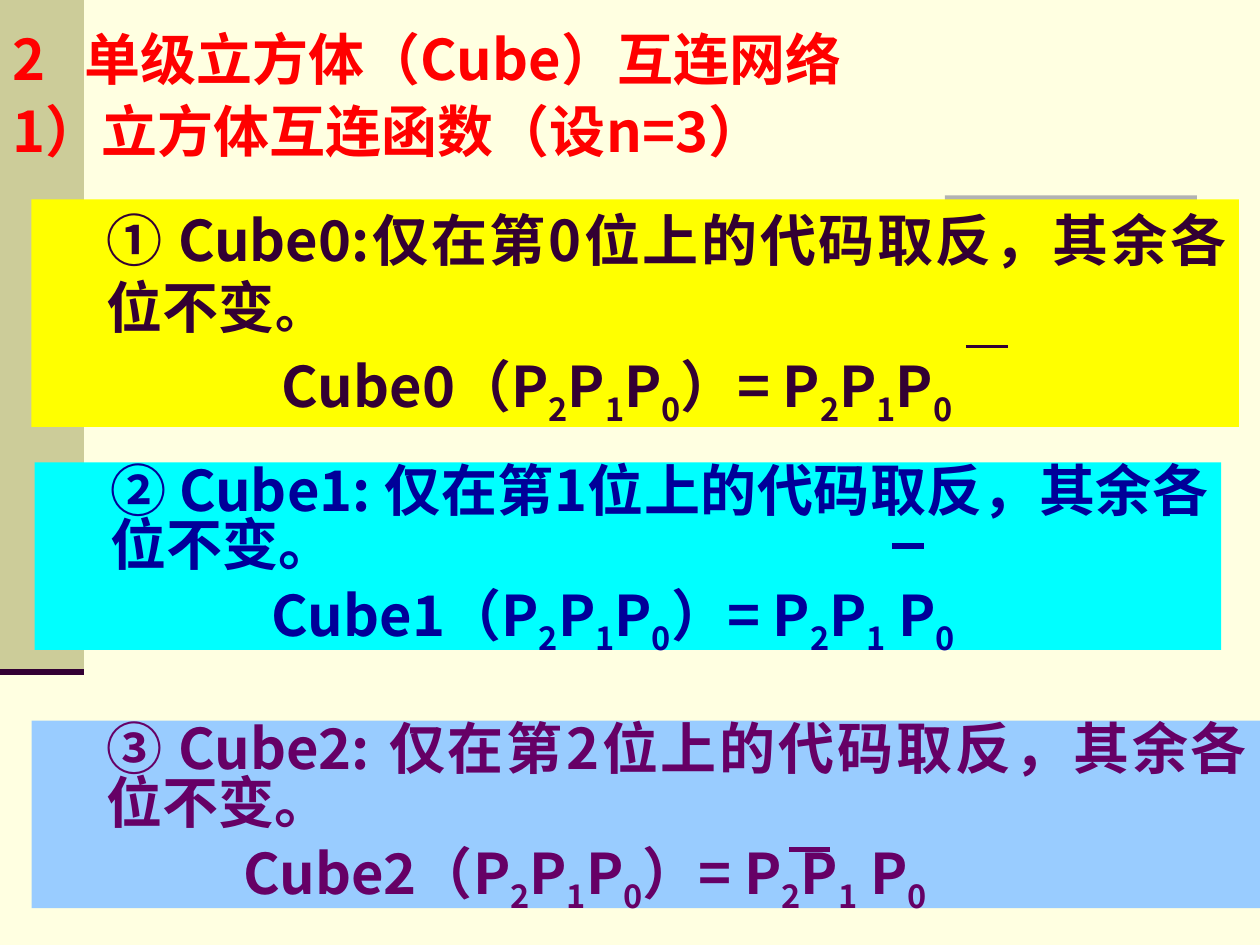
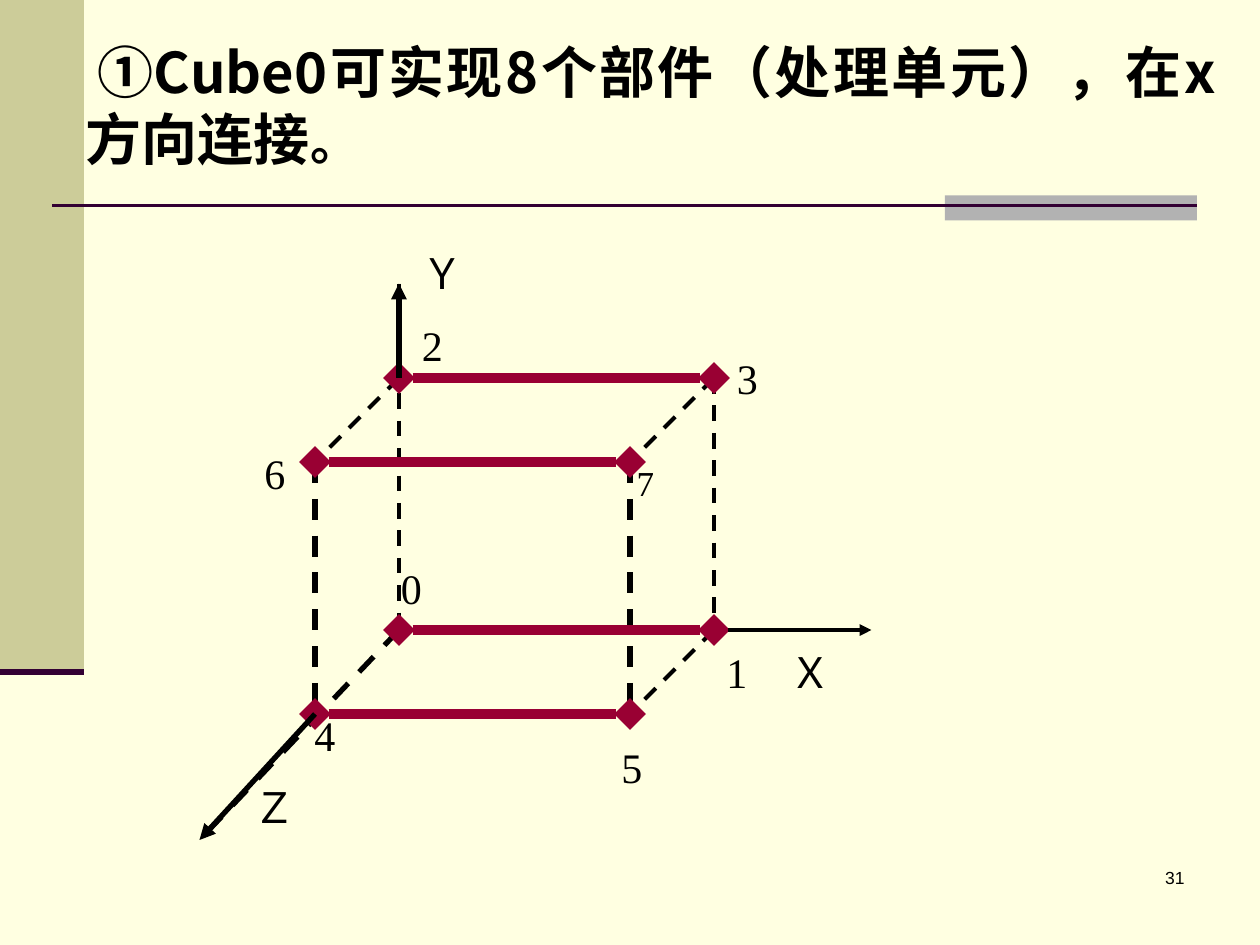
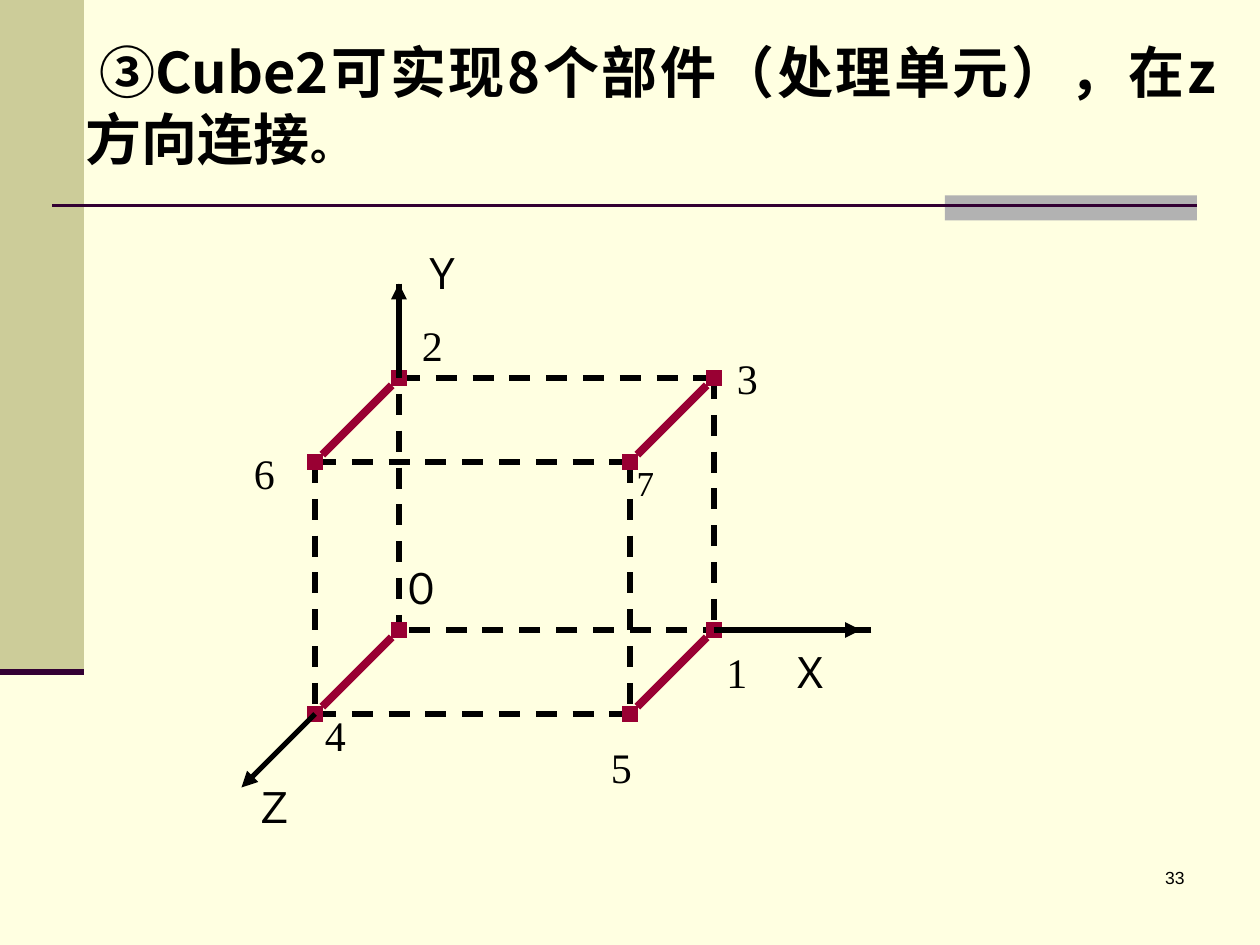
from lxml import etree
from pptx import Presentation
from pptx.dml.color import RGBColor
from pptx.enum import dml, shapes, text
from pptx.oxml import ns
from pptx.util import Pt

CREAM = RGBColor(0xFF, 0xFF, 0xE1)
KHAKI = RGBColor(0xCC, 0xCC, 0x99)
GRAY = RGBColor(0xB2, 0xB2, 0xB2)
PLUM = RGBColor(0x33, 0x00, 0x33)
RED = RGBColor(0xFF, 0x00, 0x00)
BLACK = RGBColor(0x00, 0x00, 0x00)
RUBY = RGBColor(0x99, 0x00, 0x33)
YELLOW = RGBColor(0xFF, 0xFF, 0x00)
CYAN = RGBColor(0x00, 0xFF, 0xFF)
NAVY = RGBColor(0x00, 0x00, 0x99)
SKY = RGBColor(0x99, 0xCC, 0xFF)
PURPLE = RGBColor(0x66, 0x00, 0x66)

SANS, SERIF, ARIAL = "Noto Sans CJK SC", "Times New Roman", "Arial"
HEAD = {"name": SANS, "size": Pt(32), "bold": True}
LABEL = {"name": SERIF, "size": Pt(24)}
JUST = {"alignment": text.PP_ALIGN.JUSTIFY}
SLIM = {(0, 2), (1, 3), (2, 6), (3, 7), (1, 5)}
TIPS = {1: (498, 360), 2: (228, 162), 4: (114, 480)}


def apply(item, vals):
    for key, val in vals.items():
        setattr(item, key, val)


def node(bits):
    x, y, z = bits & 1, bits >> 1 & 1, bits >> 2
    return 228 + 180 * x - 48 * z, 360 - 144 * y + 48 * z


class Deck:
    def __init__(self):
        self.prs = Presentation()
        apply(self.prs, {"slide_width": Pt(720), "slide_height": Pt(540)})
        fill = self.prs.slide_master.background.fill
        fill.solid()
        fill.fore_color.rgb = CREAM

    def page(self, rule=True):
        self.slide = self.prs.slides.add_slide(self.prs.slide_layouts[6])
        self.rect((0, 0, 48, 384), KHAKI)
        self.rect((540, 111.6, 144, 14.4), GRAY)
        if rule:
            self.line((30, 117.6), (684, 117.6), PLUM, 1.5)
        self.line((0, 384), (48, 384), PLUM, 3.5)

    def rect(self, box, color):
        shape = self.slide.shapes.add_shape(shapes.MSO_SHAPE.RECTANGLE, *map(Pt, box))
        shape.shadow.inherit = False
        shape.fill.solid()
        shape.fill.fore_color.rgb = color
        shape.line.fill.background()
        return shape

    def line(self, start, end, color, width, dash=False, head=None, tail=None):
        link = self.slide.shapes.add_connector(
            shapes.MSO_CONNECTOR.STRAIGHT, *map(Pt, start + end))
        link.line.width = Pt(width)
        link.line.color.rgb = color
        if dash:
            link.line.dash_style = dml.MSO_LINE.DASH
        for tag, kind in (("a:headEnd", head), ("a:tailEnd", tail)):
            if kind:
                etree.SubElement(link.line._get_or_add_ln(), ns.qn(tag)).set("type", kind)
        etree.SubElement(link._element.spPr, ns.qn("a:effectLst"))

    def box(self, box):
        return self.slide.shapes.add_textbox(*map(Pt, box))

    def words(self, shape, paras, font, color, form):
        frame = shape.text_frame
        apply(frame, {"word_wrap": True, "vertical_anchor": text.MSO_ANCHOR.TOP})
        for num, (runs, left, first) in enumerate(paras):
            para = frame.add_paragraph() if num else frame.paragraphs[0]
            apply(para, form)
            props = para._p.get_or_add_pPr()
            props.set("marL", str(Pt(left)))
            props.set("indent", str(Pt(first)))
            for words, size in runs:
                base, *subs = words.split("_")
                self.run(para, base, font, color, size)
                for sub in subs:
                    self.run(para, sub[0], font, color, size, True)
                    self.run(para, sub[1:], font, color, size)

    def run(self, para, words, font, color, size, low=False):
        if not words:
            return
        run = para.add_run()
        run.text = words
        apply(run.font, font)
        run.font.color.rgb = color
        if size:
            run.font.size = Pt(size)
        props = run._r.get_or_add_rPr()
        etree.SubElement(props, ns.qn("a:ea")).set("typeface", SANS)
        if low:
            props.set("baseline", "-25000")

    def title(self, runs, number):
        self.words(self.box((42, 18, 660, 84)), [(runs, 0, 0)], HEAD, BLACK, JUST)
        self.words(self.box((534, 492, 150, 36)), [([(number, 10)], 0, 0)],
                   {"name": ARIAL}, BLACK, {"alignment": text.PP_ALIGN.RIGHT})

    def label(self, box, *rows, size=24):
        paras = [([(words, size)], left, 0) for words, left in rows]
        self.words(self.box(box), paras, LABEL, BLACK, {"space_before": Pt(12)})

    def rule(self, box, fill, color, spread, words, formula, left):
        paras = [(words, 36, 0), ([(formula, 32)], left, 0)]
        form = {**JUST, "space_before": Pt(6.4), "line_spacing": spread}
        self.words(self.rect(box, fill), paras, HEAD, color, form)

    def cube(self, axis, width, slim, tips, arrows):
        edges = [(v, v + bit) for bit in (1, 2, 4) for v in range(8) if not v & bit]
        for a, b in edges:
            bit = b - a
            if bit != axis:
                start, end = node(a), node(b)
                if a == 0 and bit in tips:
                    end = TIPS[bit]
                if bit == 2 or b == 1:
                    start, end = end, start
                self.line(start, end, BLACK, 2.25 if (a, b) in slim else 3, True)
        for a, b in edges:
            if b - a == axis:
                self.line(node(a), node(b), RUBY, width, head="diamond", tail="diamond")
        for start, end, thick in arrows:
            self.line(start, end, BLACK, thick, tail="triangle")

    def names(self, zero, six, four, five):
        self.label((234, 138, 114, 79), ("Ｙ", 0), ("2", 0))
        self.label((408, 366, 168, 36), ("1　Ｘ", 0))
        self.label((222, 318, 102, 36), (zero, 0))
        self.label((84, 252, 90, 36), ("6", six))
        self.label((114, 402, 162, 79), ("4", four), ("Ｚ", 24))
        self.label((330, 420, 90, 36), ("5", five))
        self.label((414, 198, 90, 36), ("3", 0))
        self.label((346.8, 260.4, 92, 31), ("7", 10), size=20)


def main():
    deck = Deck()
    deck.page(rule=False)
    deck.words(deck.box((0, 15, 696, 84)),
               [([("2\t单级立方体（Cube）互连网络", 32)], 41, -41),
                ([("1）立方体互连函数（设n=3）", 32)], 0, 0)],
               HEAD, RED, {**JUST, "line_spacing": 0.9, "space_before": Pt(6.4)})
    deck.rule((18, 114, 690, 130), YELLOW, PLUM, 1.0,
              [("① Cube0:仅在第0位上的代码取反，其余各位不变", 32), ("。", 28)],
              "Cube0（P_2P_1P_0）= P_2P_1P_0", 136)
    deck.rule((19.8, 264.2, 678, 107.2), CYAN, NAVY, 0.8,
              [("② Cube1: 仅在第1位上的代码取反，其余各位不变。", 32)],
              "Cube1（P_2P_1P_0）= P_2P_1 P_0", 128.5)
    deck.rule((18, 411.8, 702, 107.2), SKY, PURPLE, 0.8,
              [("③ Cube2: 仅在第2位上的代码取反，其余各位不变。", 32)],
              "Cube2（P_2P_1P_0）= P_2P_1 P_0", 114)
    for left, right, top, color, width in ((552, 576, 198, PLUM, 2.25),
                                           (510, 528, 312, NAVY, 3),
                                           (451, 474.5, 485.3, PURPLE, 3)):
        deck.line((left, top), (right, top), color, width)

    rise = (node(2), TIPS[2], 3)
    deck.page()
    deck.title([(" ", 24), ("①Cube0可实现8个部件（处理单元），在x方向连接", 32), ("。", 28)], "31")
    deck.cube(1, 6, SLIM, (2, 4),
              [((416, 360), TIPS[1], 2.25), (node(4), TIPS[4], 3), rise])
    deck.names("0", 60, 58.5, 18)

    deck.page()
    deck.title([(" ", 28), ("③Cube2可实现8个部件（处理单元），在z方向连接", 32), ("。", 24)], "33")
    deck.cube(4, 4.5, (), (1, 2),
              [(node(1), (492, 360), 3), (node(4), (138, 450), 3), rise])
    deck.names("０", 54, 64.5, 12)
    deck.prs.save("out.pptx")


if __name__ == "__main__":
    main()
